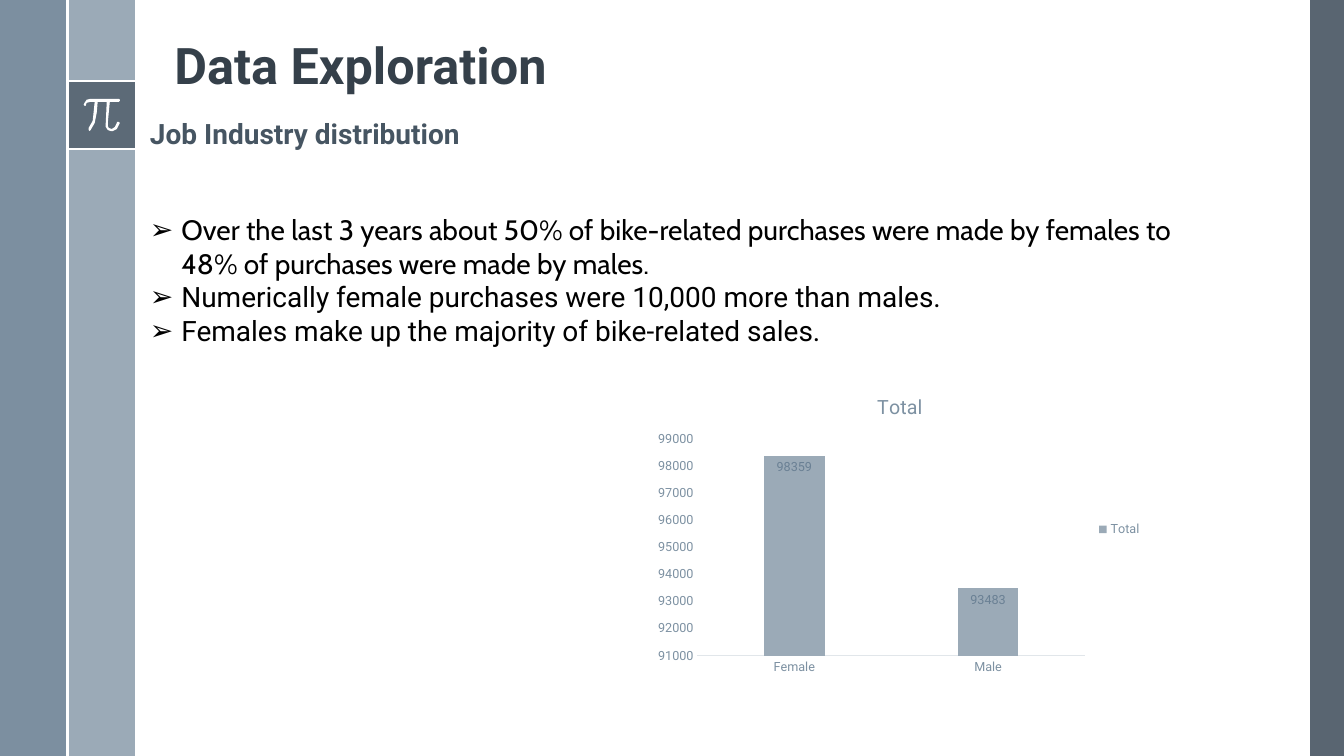
from lxml.etree import SubElement
from pptx import Presentation
from pptx.chart.data import CategoryChartData
from pptx.dml.color import RGBColor
from pptx.enum.chart import XL_CHART_TYPE, XL_LABEL_POSITION, XL_LEGEND_POSITION, XL_TICK_MARK
from pptx.enum.shapes import MSO_CONNECTOR, MSO_SHAPE
from pptx.enum.text import MSO_ANCHOR, MSO_AUTO_SIZE, PP_ALIGN
from pptx.oxml.ns import qn
from pptx.util import Cm, Pt

COLORS = {
    "white": "FFFFFF", "black": "000000", "title": "35404A", "heading": "465562",
    "dark": "475562", "steel": "6A8093", "light": "9BAAB7", "axis_line": "E1E6EA",
    "chart_text": "7D91A2", "value_text": "6A8094",
}
WIDTH, HEIGHT = 33.87, 19.05
BAND = 1.7
BADGE_TOP = 2.05

# Outline of the pi sign, in hundredths of an inch
PI_UNIT = Cm(0.0254)
PI_OUTLINE = [
    (118, 98), (90, 98), (86.5, 99), (84, 101.5), (83, 104), (84, 105), (85, 105),
    (86.5, 102.5), (90, 101), (94, 101), (93, 111), (91.5, 120), (88, 127), (88, 129),
    (89, 129.5), (90, 129), (93.5, 122), (95.5, 112), (97, 101), (106, 101), (105, 122),
    (105, 126), (107, 129), (110, 130), (112, 130), (116, 127.5), (119, 122), (118, 121),
    (116.5, 121), (116, 122), (114.5, 126), (111, 128), (108, 127), (107, 125), (107, 122),
    (109, 101), (118, 101), (119, 100), (119, 99),
]


def rgb(name):
    return RGBColor.from_string(COLORS[name])


def style_font(font, size, color, face="Roboto", bold=False):
    font.name, font.size, font.bold = face, Pt(size), bold
    font.color.rgb = rgb(color)


class SlideBuilder:
    def __init__(self, slide):
        self.slide = slide
        self.shapes = slide.shapes

    def paint(self, shape, color, opacity=100):
        shape.shadow.inherit = False
        shape.fill.solid()
        shape.fill.fore_color.rgb = rgb(color)
        shape.line.fill.background()
        if opacity < 100:
            hue = shape.fill._xPr.find(qn("a:solidFill"))[0]
            SubElement(hue, qn("a:alpha")).set("val", str(opacity * 1000))

    def panel(self, left, top, width, height, color, opacity=100):
        panel = self.shapes.add_shape(
            MSO_SHAPE.RECTANGLE, Cm(left), Cm(top), Cm(width), Cm(height))
        self.paint(panel, color, opacity)

    def rule(self, x1, y1, x2, y2):
        rule = self.shapes.add_connector(
            MSO_CONNECTOR.STRAIGHT, Cm(x1), Cm(y1), Cm(x2), Cm(y2))
        rule.line.color.rgb = rgb("white")
        rule.line.width = Pt(1.5)
        SubElement(rule._element.spPr, qn("a:effectLst"))

    def outline(self, points, unit, color):
        builder = self.shapes.build_freeform(*points[0], scale=unit)
        builder.add_line_segments(points[1:], close=True)
        self.paint(builder.convert_to_shape(), color)

    def title(self, text, left, top, width, height):
        title = self.shapes.title
        title.left, title.top, title.width, title.height = map(Cm, (left, top, width, height))
        frame = title.text_frame
        frame.auto_size = MSO_AUTO_SIZE.NONE
        frame.vertical_anchor = MSO_ANCHOR.BOTTOM
        paragraph = frame.paragraphs[0]
        paragraph.alignment = PP_ALIGN.LEFT
        paragraph.line_spacing = 0.9
        self.run(paragraph, text, 36, "title", bold=True)

    def run(self, paragraph, text, size, color, face="Roboto", bold=False):
        run = paragraph.add_run()
        run.text = text
        style_font(run.font, size, color, face, bold)

    def findings(self, heading, points, left, top, width, height):
        """Heading followed by arrow-bulleted (text, font) points."""
        frame = self.shapes.add_textbox(Cm(left), Cm(top), Cm(width), Cm(height)).text_frame
        frame.word_wrap = True
        self.run(frame.paragraphs[0], heading, 20, "heading", bold=True)
        for number, (text, face) in enumerate(points):
            paragraph = frame.add_paragraph()
            paragraph.space_before = Pt(0 if number else 44.5)
            properties = paragraph._p.get_or_add_pPr()
            properties.set("marL", str(Cm(0.79)))
            properties.set("indent", str(-Cm(0.79)))
            SubElement(properties, qn("a:buFont")).set("typeface", "Arial")
            SubElement(properties, qn("a:buChar")).set("char", "➢")
            self.run(paragraph, text, 20, "black", face)

    def column_chart(self, name, categories, values, left, top, width, height):
        data = CategoryChartData()
        data.categories = categories
        data.add_series(name, values)
        chart = self.shapes.add_chart(
            XL_CHART_TYPE.COLUMN_CLUSTERED, Cm(left), Cm(top), Cm(width), Cm(height), data).chart
        style_font(chart.font, 10, "heading")

        chart.has_title = True
        caption = chart.chart_title.text_frame.paragraphs[0]
        self.run(caption, name, 14, "chart_text")
        chart.chart_title.include_in_layout = False

        chart.has_legend = True
        chart.legend.position = XL_LEGEND_POSITION.RIGHT
        chart.legend.include_in_layout = False
        style_font(chart.legend.font, 9, "chart_text")

        for axis in (chart.category_axis, chart.value_axis):
            axis.major_tick_mark = axis.minor_tick_mark = XL_TICK_MARK.NONE
            axis.has_major_gridlines = False
            style_font(axis.tick_labels.font, 9, "chart_text")
        chart.category_axis.format.line.color.rgb = rgb("axis_line")
        chart.category_axis.format.line.width = Pt(0.75)
        scale = chart.value_axis
        scale.format.line.fill.background()
        scale.minimum_scale, scale.maximum_scale, scale.major_unit = 91000, 99000, 1000

        plot = chart.plots[0]
        plot.vary_by_categories = False
        plot.gap_width, plot.overlap = 219, -27
        columns = plot.series[0]
        columns.format.fill.solid()
        columns.format.fill.fore_color.rgb = rgb("light")
        labels = columns.data_labels
        labels.show_value = True
        labels.position = XL_LABEL_POSITION.INSIDE_END
        style_font(labels.font, 9, "value_text")


def main():
    deck = Presentation()
    deck.slide_width, deck.slide_height = Cm(WIDTH), Cm(HEIGHT)
    page = SlideBuilder(deck.slides.add_slide(deck.slide_layouts[5]))

    page.panel(WIDTH - BAND / 2, 0, BAND / 2, HEIGHT, "dark", 90)
    page.panel(BAND, 0, BAND, HEIGHT, "light")
    page.panel(0, 0, BAND, HEIGHT, "steel", 88)
    page.panel(BAND, BADGE_TOP, BAND, BAND, "dark", 75)
    for edge in (BADGE_TOP, BADGE_TOP + BAND):
        page.rule(BAND, edge, 2 * BAND, edge)
    page.outline(PI_OUTLINE, PI_UNIT, "white")
    page.rule(BAND, 0, BAND, HEIGHT)

    page.title("Data Exploration", 4.14, 0.33, 21.01, 2.21)
    page.findings("Job Industry distribution", [
        ("Over the last 3 years about 50% of bike-related purchases were made by females "
         "to 48% of purchases were made by males.", "Cabin"),
        ("Numerically female purchases were 10,000 more than males.", "Roboto"),
        ("Females make up the majority of bike-related sales.", "Roboto"),
    ], 3.53, 2.82, 27.81, 6.93)
    page.column_chart("Total", ["Female", "Male"], [98359, 93483], 16.33, 9.53, 12.7, 7.62)

    deck.save("out.pptx")


if __name__ == "__main__":
    main()
